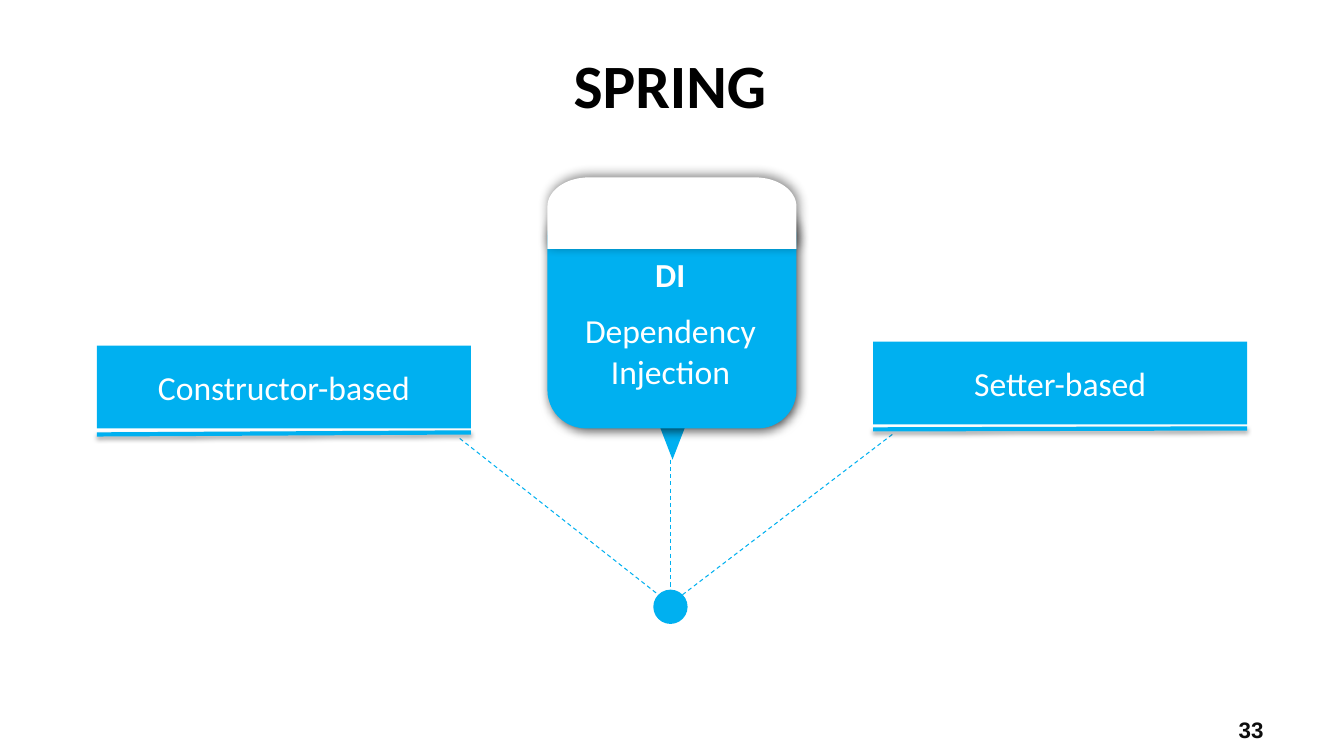
import math
from dataclasses import dataclass
from typing import Any, Optional

import pptx
import pptx.dml.color
import pptx.enum.dml
import pptx.enum.shapes
import pptx.enum.text
import pptx.oxml
import pptx.oxml.ns
import pptx.util

Inches = pptx.util.Inches
Preset = pptx.enum.shapes.MSO_SHAPE
Align = pptx.enum.text.PP_ALIGN
Anchor = pptx.enum.text.MSO_ANCHOR
BLUE, WHITE, BLACK, NEAR_BLACK = "00B0F0", "FFFFFF", "000000", "0D0D0D"


@dataclass
class Box:
    left: float
    top: float
    width: float
    height: float


@dataclass
class Shadow:
    opacity: int
    blur: float
    distance: float
    angle: int


@dataclass
class Label:
    text: str
    box: Box
    size: int = 24
    color: str = WHITE
    bold: bool = False
    font_name: str = "Calibri"
    align: Align = Align.LEFT
    anchor: Anchor = Anchor.TOP
    wrap: bool = True


@dataclass
class Method:
    text: str
    left: float
    top: float
    rule_start: float
    rule_end: float
    link_start: tuple[float, float]
    link_end: tuple[float, float]


CARD_SHADOW = Shadow(71, 8, 2, 40)
CAP_SHADOW = Shadow(45, 8, 2, 300)
RULE_SHADOW = Shadow(35, 3.1, 1.8, 90)
CARD = Box(5.43, 1.96, 2.47, 2.29)
CAP = Box(5.43, 1.76, 2.47, 0.71)
BAR_WIDTH, BAR_HEIGHT = 3.71, 0.82

METHODS = [
    Method("Setter-based", 8.66, 3.39, 4.26, 4.25, (8.85, 4.31), (6.77, 5.9)),
    Method("Constructor-based", 0.96, 3.43, 4.31, 4.29, (4.56, 4.35), (6.53, 5.9)),
]
LABELS = [
    Label("33", Box(9.63, 7.04, 3, 0.4), 16, NEAR_BLACK, True, "Arial",
          Align.RIGHT, Anchor.MIDDLE),
    Label("SPRING", Box(5.59, 0.42, 2.16, 0.83), 44, BLACK, True, anchor=Anchor.MIDDLE),
    Label("DI", Box(6.4, 2.47, 0.5, 0.5), bold=True, wrap=False),
    Label("Dependency Injection", Box(5.7, 3.03, 1.9, 0.9), align=Align.CENTER),
]


def rgb(color: str) -> pptx.dml.color.RGBColor:
    return pptx.dml.color.RGBColor.from_string(color)


def place(box: Box) -> list[int]:
    return [Inches(value) for value in (box.left, box.top, box.width, box.height)]


def set_effects(shape: Any, shadow: Optional[Shadow]) -> None:
    """Replace the theme shadow with the given one, or with none."""
    namespace = pptx.oxml.ns.nsdecls("a")
    content = ""
    if shadow:
        content = (
            f'<a:outerShdw blurRad="{pptx.util.Pt(shadow.blur)}" '
            f'dist="{pptx.util.Pt(shadow.distance)}" dir="{shadow.angle * 60000}" '
            f'algn="ctr" rotWithShape="0"><a:srgbClr val="{BLACK}">'
            f'<a:alpha val="{shadow.opacity * 1000}"/></a:srgbClr></a:outerShdw>')
    shape._element.spPr.append(
        pptx.oxml.parse_xml(f"<a:effectLst {namespace}>{content}</a:effectLst>"))


def paint(shape: Any, color: str, shadow: Optional[Shadow] = None) -> None:
    shape.fill.solid()
    shape.fill.fore_color.rgb = rgb(color)
    shape.line.fill.background()
    set_effects(shape, shadow)


def add_preset(slide: Any, preset: Preset, box: Box, shadow: Optional[Shadow] = None) -> Any:
    shape = slide.shapes.add_shape(preset, *place(box))
    paint(shape, BLUE, shadow)
    return shape


def write(shape: Any, label: Label) -> None:
    frame = shape.text_frame
    frame.word_wrap = label.wrap
    frame.vertical_anchor = label.anchor
    paragraph = frame.paragraphs[0]
    paragraph.alignment = label.align
    run = paragraph.add_run()
    run.text = label.text
    font_format = {"name": label.font_name, "size": pptx.util.Pt(label.size),
                   "bold": label.bold}
    for name, value in font_format.items():
        setattr(run.font, name, value)
    run.font.color.rgb = rgb(label.color)


def add_label(slide: Any, label: Label) -> None:
    write(slide.shapes.add_textbox(*place(label.box)), label)


def add_line(slide: Any, start: tuple[float, float], end: tuple[float, float],
             width: float = 0.75, dashed: bool = True,
             shadow: Optional[Shadow] = None) -> None:
    connector = slide.shapes.add_connector(
        pptx.enum.shapes.MSO_CONNECTOR.STRAIGHT,
        *[Inches(value) for value in (*start, *end)])
    connector.line.color.rgb = rgb(BLUE)
    connector.line.width = pptx.util.Pt(width)
    if dashed:
        connector.line.dash_style = pptx.enum.dml.MSO_LINE.DASH
    set_effects(connector, shadow)


def add_cap(slide: Any, box: Box, radius_x: float, radius_y: float) -> None:
    """Draw a box whose two top corners are elliptical."""
    right, bottom = box.left + box.width, box.top + box.height
    points = [(box.left, bottom)]
    for step in range(33):
        angle = math.pi * (1 - step / 32)
        center_x = box.left + radius_x if step < 16 else right - radius_x
        if step == 16:
            points.append((box.left + radius_x, box.top))
        points.append((center_x + radius_x * math.cos(angle),
                       box.top + radius_y * (1 - math.sin(angle))))
    points.append((right, bottom))
    corners = [(Inches(x), Inches(y)) for x, y in points]
    builder = slide.shapes.build_freeform(*corners[0])
    builder.add_line_segments(corners[1:], close=True)
    paint(builder.convert_to_shape(), WHITE, CAP_SHADOW)


def add_method(slide: Any, method: Method) -> None:
    right = method.left + BAR_WIDTH
    add_line(slide, method.link_start, method.link_end)
    add_line(slide, (method.left, method.rule_start), (right, method.rule_end),
             3, False, RULE_SHADOW)
    box = Box(method.left, method.top, BAR_WIDTH, BAR_HEIGHT)
    bar = add_preset(slide, Preset.RECTANGLE, box)
    write(bar, Label(method.text, box, align=Align.CENTER, anchor=Anchor.MIDDLE))


def main() -> None:
    presentation = pptx.Presentation()
    presentation.slide_width = Inches(13.33)
    presentation.slide_height = Inches(7.5)
    slide = presentation.slides.add_slide(presentation.slide_layouts[6])

    # Central card with its pointer and white cap
    pointer = add_preset(slide, Preset.ISOSCELES_TRIANGLE, Box(6.35, 3.73, 0.64, 0.83))
    pointer.rotation = 180
    add_preset(slide, Preset.ROUNDED_RECTANGLE, CARD, CARD_SHADOW)
    add_cap(slide, CAP, 0.41, 0.29)

    # Hub below the card
    add_line(slide, (6.65, 4.56), (6.65, 6.02))
    add_preset(slide, Preset.OVAL, Box(6.48, 5.85, 0.34, 0.34))

    # Title, card text and page number
    for label in LABELS:
        add_label(slide, label)

    # Injection methods on either side
    for method in METHODS:
        add_method(slide, method)

    presentation.save("out.pptx")


if __name__ == "__main__":
    main()
